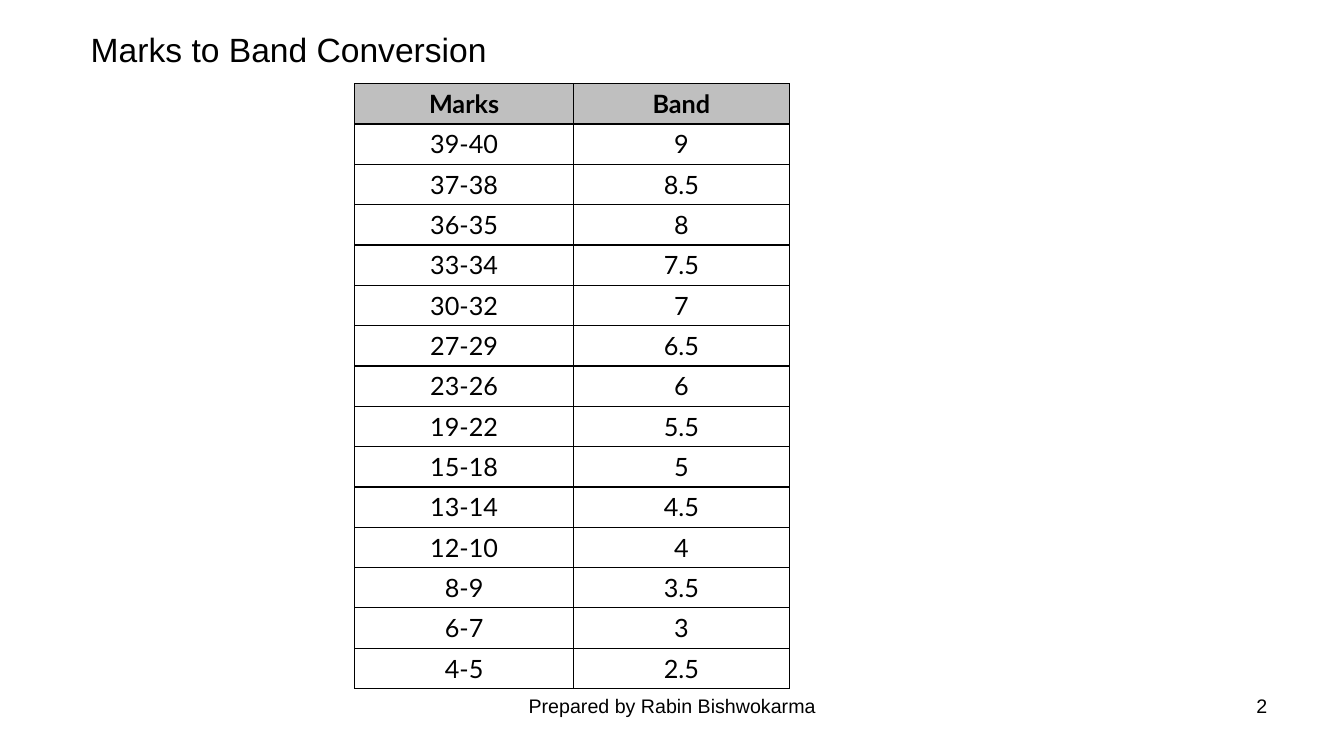
from dataclasses import dataclass

from lxml.etree import SubElement
from pptx import Presentation
from pptx.dml.color import RGBColor
from pptx.enum.text import MSO_ANCHOR as Anchor, MSO_AUTO_SIZE as AutoSize, PP_ALIGN as Align
from pptx.oxml.ns import qn
from pptx.shapes.base import BaseShape
from pptx.slide import Slide
from pptx.table import _Cell as Cell
from pptx.text.text import TextFrame
from pptx.util import Pt


@dataclass(frozen=True)
class Theme:
    ink: str = "000000"
    header_fill: str = "BFBFBF"
    body_fill: str = "FFFFFF"
    font: str = "Arial"
    table_font: str = "Lato"
    title_size: float = 24
    table_size: float = 18
    footer_size: float = 14
    border: float = 1


@dataclass(frozen=True)
class Label:
    text: str
    left: float
    top: float
    width: float
    height: float
    align: Align
    size: float
    anchor: Anchor = Anchor.TOP


THEME = Theme()

TITLE = Label("Marks to Band Conversion", 57.6, 17.3, 674, 36,
              Align.LEFT, THEME.title_size, Anchor.MIDDLE)
FOOTERS = [
    Label("2", 688.3, 491.8, 224, 37.4, Align.RIGHT, THEME.footer_size),
    Label("Prepared by Rabin Bishwokarma", 328.3, 491.8, 303.8, 37.4,
          Align.CENTER, THEME.footer_size),
]

HEADER = ("Marks", "Band")
MARKS = ["39-40", "37-38", "36-35", "33-34", "30-32", "27-29", "23-26",
         "19-22", "15-18", "13-14", "12-10", "8-9", "6-7", "4-5"]
TOP_BAND, BAND_STEP = 9, 0.5
TABLE_LEFT, TABLE_TOP, ROW_HEIGHT = 253.4, 59.8, 28.8
COLUMN_WIDTHS = (156.3, 154.1)


def write(tf: TextFrame, text: str, font: str, size: float, align: Align,
          bold: bool = False) -> None:
    tf.text = text
    p = tf.paragraphs[0]
    p.alignment = align
    p.font.name = font
    p.font.size = Pt(size)
    p.font.bold = bold
    p.font.color.rgb = RGBColor.from_string(THEME.ink)


def fill_label(s: BaseShape, label: Label) -> None:
    s.left, s.top = Pt(label.left), Pt(label.top)
    s.width, s.height = Pt(label.width), Pt(label.height)
    tf = s.text_frame
    tf.word_wrap = True
    tf.auto_size = AutoSize.NONE
    tf.vertical_anchor = label.anchor
    write(tf, label.text, THEME.font, label.size, label.align)


def fill_cell(cell: Cell, text: str, header: bool) -> None:
    # Borders come before the fill in the cell properties
    tcPr = cell._tc.get_or_add_tcPr()
    for side in ("a:lnL", "a:lnR", "a:lnT", "a:lnB"):
        ln = SubElement(tcPr, qn(side), w=str(Pt(THEME.border)))
        SubElement(SubElement(ln, qn("a:solidFill")), qn("a:srgbClr"), val=THEME.ink)
    cell.fill.solid()
    cell.fill.fore_color.rgb = RGBColor.from_string(
        THEME.header_fill if header else THEME.body_fill)
    cell.margin_top = cell.margin_bottom = Pt(0)
    cell.vertical_anchor = Anchor.MIDDLE
    write(cell.text_frame, text, THEME.table_font, THEME.table_size,
          Align.CENTER, bold=header)


def add_band_table(slide: Slide) -> None:
    bands = [f"{TOP_BAND - i * BAND_STEP:g}" for i in range(len(MARKS))]
    rows = [HEADER, *zip(MARKS, bands)]
    table = slide.shapes.add_table(
        len(rows), len(HEADER), Pt(TABLE_LEFT), Pt(TABLE_TOP),
        Pt(sum(COLUMN_WIDTHS)), Pt(ROW_HEIGHT * len(rows))).table
    table.first_row = table.horz_banding = False
    for column, width in zip(table.columns, COLUMN_WIDTHS):
        column.width = Pt(width)
    for r, values in enumerate(rows):
        table.rows[r].height = Pt(ROW_HEIGHT)
        for c, text in enumerate(values):
            fill_cell(table.cell(r, c), text, header=r == 0)


def main() -> None:
    prs = Presentation()
    prs.slide_width, prs.slide_height = Pt(960), Pt(540)
    slide = prs.slides.add_slide(prs.slide_layouts[5])  # Title Only

    # Title
    fill_label(slide.shapes.title, TITLE)

    # Slide number and footer
    for label in FOOTERS:
        fill_label(slide.shapes.add_textbox(0, 0, 0, 0), label)

    # Conversion table
    add_band_table(slide)

    prs.save("out.pptx")


if __name__ == "__main__":
    main()
